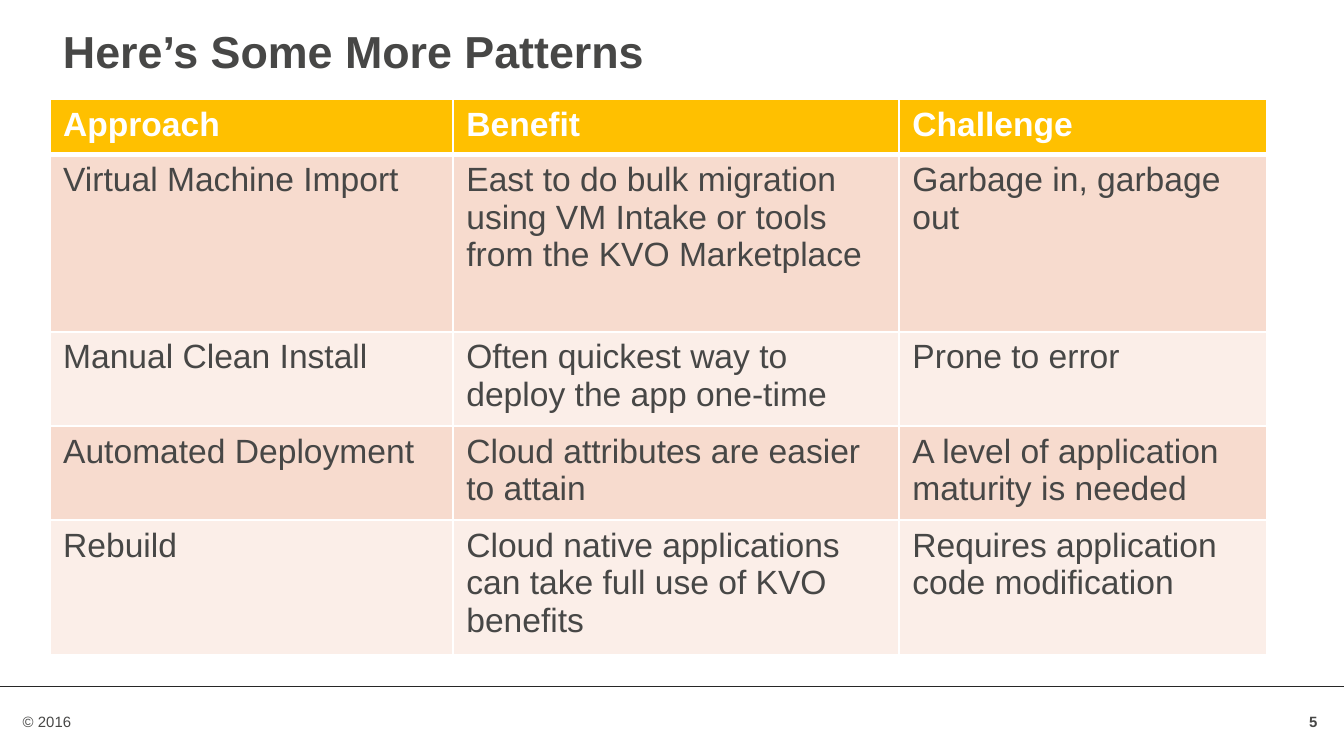
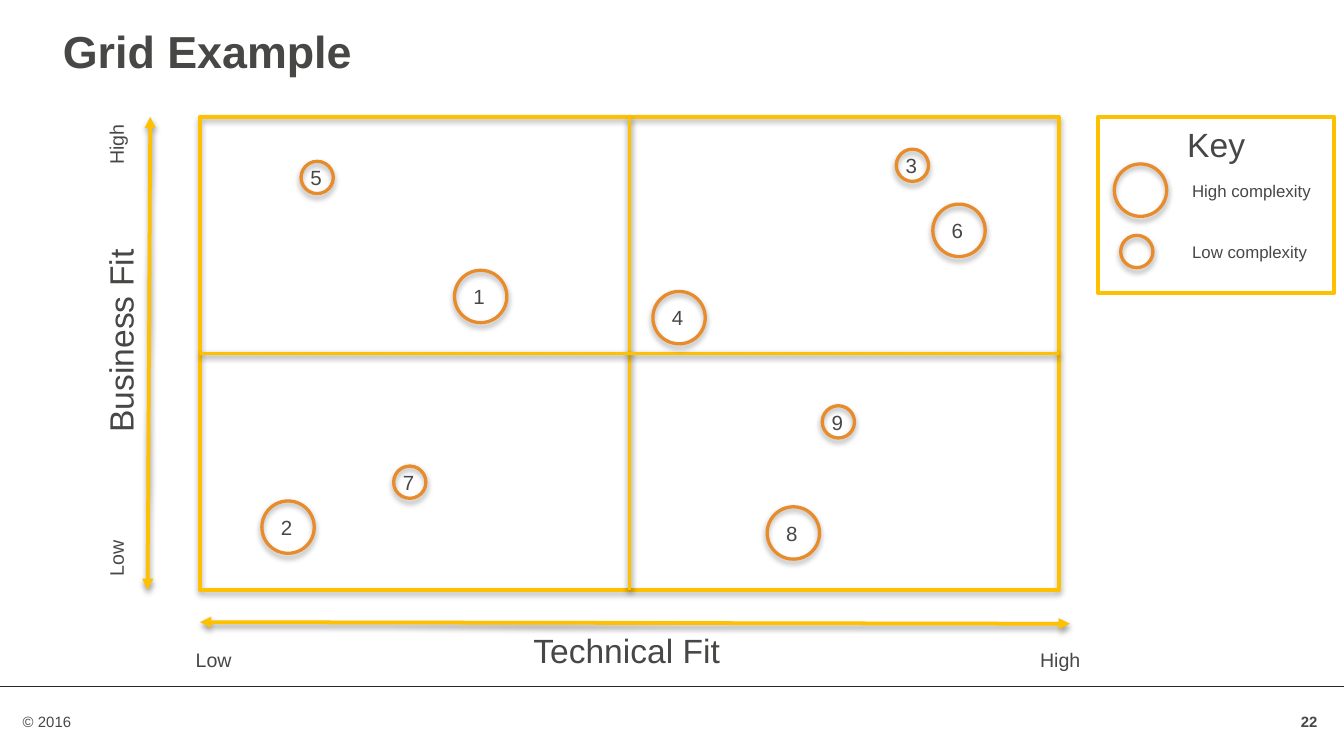
"""Build two slides: a table of migration patterns and a fit grid."""
from lxml import etree
from pptx import Presentation
from pptx.dml.color import RGBColor
from pptx.enum.shapes import MSO_CONNECTOR, MSO_SHAPE
from pptx.enum.text import MSO_ANCHOR, PP_ALIGN
from pptx.oxml.ns import qn
from pptx.util import Cm, Pt

LEFT, CENTER, RIGHT = PP_ALIGN.LEFT, PP_ALIGN.CENTER, PP_ALIGN.RIGHT
TOP, MIDDLE = MSO_ANCHOR.TOP, MSO_ANCHOR.MIDDLE
RECTANGLE, CIRCLE = MSO_SHAPE.RECTANGLE, MSO_SHAPE.FLOWCHART_CONNECTOR
STRAIGHT = MSO_CONNECTOR.STRAIGHT
color = RGBColor.from_string
INK, WHITE, GOLD, ORANGE, RULE = "474746", "FFFFFF", "FFC000", "E88B2B", "272727"
BANDS = ["F7DBCE", "FBEEE8"]


def write(frame, text, size, ink=INK, bold=False, align=LEFT, anchor=TOP):
    """Put one formatted paragraph into a text frame."""
    frame.word_wrap = True
    frame.vertical_anchor = anchor
    para = frame.paragraphs[0]
    para.alignment = align
    span = para.add_run()
    span.text = text
    for name, value in {"name": "Arial", "size": Pt(size), "bold": bold}.items():
        setattr(span.font, name, value)
    span.font.color.rgb = color(ink)


def outline(item, ink, width, opacity=0, distance=1.8):
    """Set the line of a shape or connector and its soft shadow, if any."""
    item.line.color.rgb = color(ink)
    item.line.width = Pt(width)
    effects = etree.SubElement(item._element.spPr, qn("a:effectLst"))
    if opacity:
        shadow = etree.SubElement(
            effects, qn("a:outerShdw"), blurRad=str(Pt(3.1)),
            dist=str(Pt(distance)), dir="5400000", rotWithShape="0")
        black = etree.SubElement(shadow, qn("a:srgbClr"), val="000000")
        etree.SubElement(black, qn("a:alpha"), val=str(opacity * 1000))


deck = Presentation()
deck.slide_width, deck.slide_height = Cm(25.4), Cm(14.29)

pages = []
for title, number in [("Here’s Some More Patterns", "5"), ("Grid Example", "22")]:
    page = deck.slides.add_slide(deck.slide_layouts[6])
    pages.append(page)
    for place, text, style in [
        ((24.26, 13.26, 0.89, 0.76), number,
         {"size": 8, "bold": True, "align": RIGHT, "anchor": MIDDLE}),
        ((0.18, 13.34, 14, 0.61), "© 2016", {"size": 8}),
        ((0.94, 0.33, 22.78, 1.88), title, {"size": 24, "bold": True}),
    ]:
        box = page.shapes.add_textbox(*map(Cm, place))
        write(box.text_frame, text, **style)
    for inset in (0, 0.25):
        rule = page.shapes.add_connector(
            STRAIGHT, Cm(inset), Cm(12.98), Cm(25.4 - inset), Cm(12.98))
        outline(rule, RULE, 0.25)

patterns_page, grid_page = pages

patterns = [
    ("Approach", "Benefit", "Challenge"),
    ("Virtual Machine Import",
     "East to do bulk migration using VM Intake or tools from the KVO Marketplace",
     "Garbage in, garbage out"),
    ("Manual Clean Install", "Often quickest way to deploy the app one-time",
     "Prone to error"),
    ("Automated Deployment", "Cloud attributes are easier to attain",
     "A level of application maturity is needed"),
    ("Rebuild", "Cloud native applications can take full use of KVO benefits",
     "Requires application code modification"),
]
widths = [7.62, 8.43, 6.96]
heights = [1.04, 3.35, 1.78, 1.78, 2.54]
table = patterns_page.shapes.add_table(
    len(heights), len(widths), Cm(0.94), Cm(1.88),
    Cm(sum(widths)), Cm(sum(heights))).table
for column, width in zip(table.columns, widths):
    column.width = Cm(width)
for row, height in zip(table.rows, heights):
    row.height = Cm(height)

for row_index, texts in enumerate(patterns):
    header = row_index == 0
    borders = {"a:lnL": 1, "a:lnR": 1, "a:lnT": 3 if row_index == 1 else 1,
               "a:lnB": 3 if header else 1}
    for column_index, text in enumerate(texts):
        cell = table.cell(row_index, column_index)
        properties = cell._tc.get_or_add_tcPr()
        for tag, width in borders.items():
            border = etree.SubElement(properties, qn(tag), w=str(Pt(width)))
            fill = etree.SubElement(border, qn("a:solidFill"))
            etree.SubElement(fill, qn("a:srgbClr"), val=WHITE)
        cell.fill.solid()
        cell.fill.fore_color.rgb = color(GOLD if header else BANDS[(row_index - 1) % 2])
        write(cell.text_frame, text, 18, WHITE if header else INK, header)

grid_left, grid_top, grid_width, grid_height = 3.78, 2.21, 16.23, 8.94
grid_right, grid_bottom = grid_left + grid_width, grid_top + grid_height
middle_x, middle_y = grid_left + grid_width / 2, grid_top + grid_height / 2

grid = grid_page.shapes.add_shape(
    RECTANGLE, Cm(grid_left), Cm(grid_top), Cm(grid_width), Cm(grid_height))
grid.fill.background()
outline(grid, GOLD, 2, opacity=35)

for ends, arrow in [
    ((middle_x, grid_top, middle_x, grid_bottom), False),
    ((grid_left, middle_y, grid_right, middle_y), False),
    ((2.84, grid_top, 2.79, grid_bottom), True),
    ((20.22, 11.79, grid_left, 11.76), True),
]:
    line = grid_page.shapes.add_connector(STRAIGHT, *map(Cm, ends))
    outline(line, GOLD, 2, opacity=38, distance=1.6)
    if arrow:
        for tag in ("a:headEnd", "a:tailEnd"):
            etree.SubElement(line.line._get_or_add_ln(), qn(tag), type="triangle")

key = grid_page.shapes.add_shape(RECTANGLE, Cm(20.75), Cm(grid_top), Cm(4.47), Cm(3.33))
key.fill.background()
outline(key, GOLD, 2)
write(key.text_frame, "Key", 18, align=CENTER)

for left, top, width, height, text, size, rotation in [
    (9.83, 11.79, 7.11, 1.02, "Technical Fit", 18, 0),
    (-0.61, 5.03, 5.77, 1.02, "Business Fit", 18, 270),
    (19.41, 12.12, 1.63, 0.74, "High", 10.5, 0),
    (3.45, 12.12, 1.63, 0.74, "Low", 10.5, 0),
    (1.4, 2.18, 1.63, 0.74, "High", 10.5, 270),
    (1.4, 9.96, 1.63, 0.74, "Low", 10.5, 270),
    (22.28, 3.3, 2.95, 0.64, "High complexity", 9, 0),
    (22.28, 4.45, 2.95, 0.64, "Low complexity", 9, 0),
]:
    box = grid_page.shapes.add_textbox(Cm(left), Cm(top), Cm(width), Cm(height))
    box.rotation = rotation
    write(box.text_frame, text, size)

HIGH = {"diameter": 0.99, "shift_x": 0.16, "shift_y": 0.14}
LOW = {"diameter": 0.61, "shift_x": -0.02, "shift_y": -0.05}
for label, left, top, complexity in [
    ("", 21.18, 4.45, LOW), ("", 21.06, 3.1, HIGH),
    ("1", 8.59, 5.11, HIGH), ("2", 4.95, 9.47, HIGH), ("3", 16.94, 2.82, LOW),
    ("4", 12.34, 5.51, HIGH), ("5", 5.69, 3.05, LOW), ("6", 17.63, 3.86, HIGH),
    ("7", 7.44, 8.81, LOW), ("8", 14.5, 9.58, HIGH), ("9", 15.54, 7.67, LOW),
]:
    diameter = Cm(complexity["diameter"])
    circle = grid_page.shapes.add_shape(CIRCLE, Cm(left), Cm(top), diameter, diameter)
    circle.fill.background()
    outline(circle, ORANGE, 1.75, opacity=35)
    if label:
        box = grid_page.shapes.add_textbox(
            Cm(left + complexity["shift_x"]), Cm(top + complexity["shift_y"]),
            Cm(0.46), Cm(0.74))
        box.text_frame.margin_left, box.text_frame.margin_right = Cm(0.15), Cm(0)
        write(box.text_frame, label, 11, align=CENTER)

deck.save("out.pptx")
